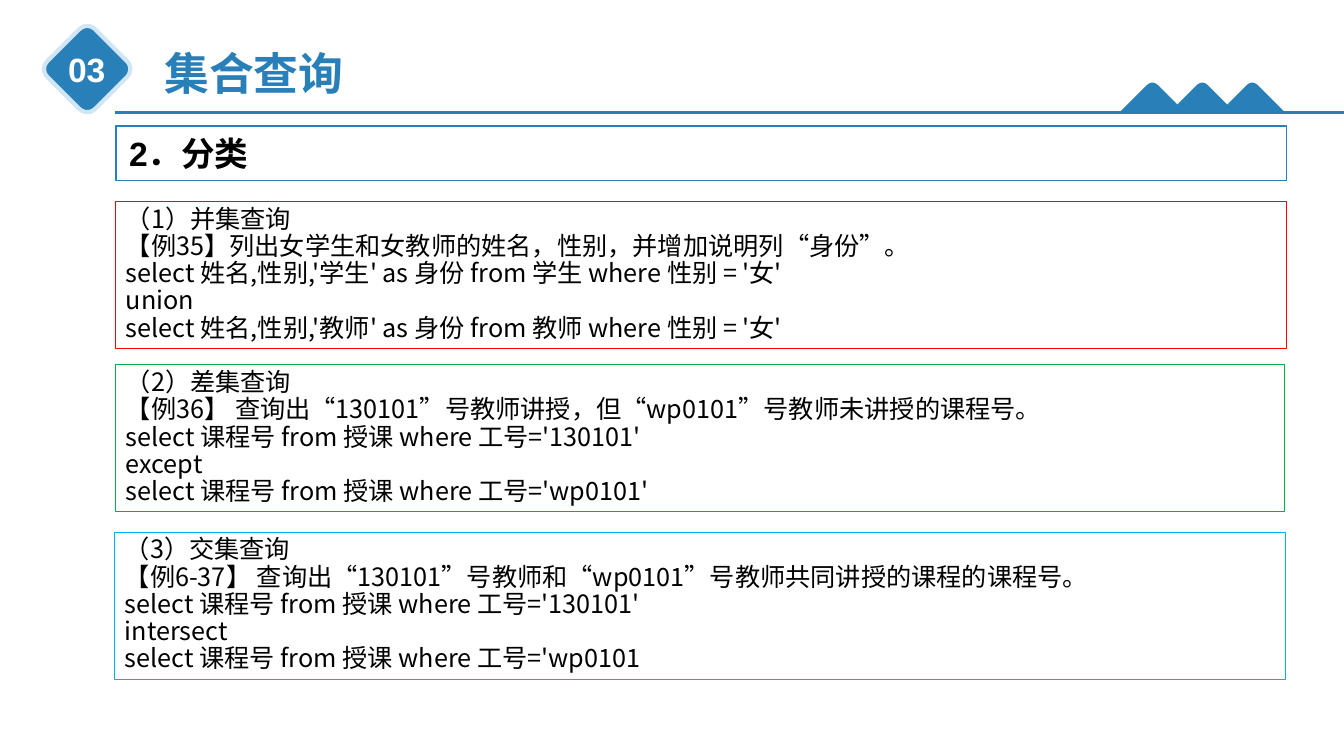
from lxml import etree
from pptx import Presentation
from pptx.dml.color import RGBColor
from pptx.enum.shapes import MSO_CONNECTOR, MSO_SHAPE
from pptx.enum.text import MSO_ANCHOR, MSO_AUTO_SIZE, PP_ALIGN
from pptx.oxml.ns import qn
from pptx.util import Inches, Pt

LEFT, CENTER = PP_ALIGN.LEFT, PP_ALIGN.CENTER
TOP, MIDDLE = MSO_ANCHOR.TOP, MSO_ANCHOR.MIDDLE
GROW = MSO_AUTO_SIZE.SHAPE_TO_FIT_TEXT
RECTANGLE, ROUNDED = MSO_SHAPE.RECTANGLE, MSO_SHAPE.ROUNDED_RECTANGLE
STRAIGHT = MSO_CONNECTOR.STRAIGHT

COLORS = {
    "blue": "2980B9", "pale": "D1E6F5", "white": "FFFFFF", "black": "000000",
    "red": "FF0000", "green": "00B050", "cyan": "00B0F0",
}
HEADING_FONT, BODY_FONT = "Arial", "Noto Sans CJK SC"

QUERIES = [
    ((1.15, 2, 11.61, 1.46), "red", [
        "（1）并集查询",
        "【例35】列出女学生和女教师的姓名，性别，并增加说明列“身份”。",
        "select 姓名,性别,'学生' as 身份 from 学生 where 性别 = '女'",
        "union",
        "select 姓名,性别,'教师' as 身份 from 教师 where 性别 = '女'",
    ]),
    ((1.15, 3.62, 11.59, 1.46), "green", [
        "（2）差集查询",
        "【例36】 查询出“130101”号教师讲授，但“wp0101”号教师未讲授的课程号。",
        "select 课程号 from 授课 where 工号='130101'",
        "except",
        "select 课程号 from 授课 where 工号='wp0101'",
    ]),
    ((1.14, 5.28, 11.61, 1.46), "cyan", [
        "（3）交集查询",
        "【例6-37】 查询出“130101”号教师和“wp0101”号教师共同讲授的课程的课程号。",
        "select 课程号 from 授课 where 工号='130101'",
        "intersect",
        "select 课程号 from 授课 where 工号='wp0101",
    ]),
]


def color(name):
    return RGBColor.from_string(COLORS[name])


class SlideBuilder:
    def __init__(self, presentation):
        layout = presentation.slide_layouts.get_by_name("Title Only")
        self.slide = presentation.slides.add_slide(layout)

    def set_text(self, shape, lines, size, color_name="black", font=HEADING_FONT, bold=True,
                 align=LEFT, anchor=TOP, wrap=True, spacing=1.0):
        frame = shape.text_frame
        frame.text = "\n".join(lines)
        frame.word_wrap = wrap
        frame.vertical_anchor = anchor
        frame.auto_size = GROW
        for paragraph in frame.paragraphs:
            paragraph.alignment = align
            paragraph.line_spacing = spacing
            paragraph.font.size = Pt(size)
            paragraph.font.bold = bold
            paragraph.font.color.rgb = color(color_name)
            paragraph.font.name = font
            properties = paragraph._p.pPr.find(qn("a:defRPr"))
            etree.SubElement(properties, qn("a:ea"), typeface=BODY_FONT)

    def title(self, box, text):
        title = self.slide.shapes.title
        title.left, title.top, title.width, title.height = map(Inches, box)
        self.set_text(title, [text], 32, "blue", wrap=False)

    def label(self, box, text):
        label = self.slide.shapes.add_textbox(*map(Inches, box))
        self.set_text(label, [text], 24, "white", align=CENTER, wrap=False)

    def box(self, box, line, width, fill=None, kind=RECTANGLE):
        shape = self.slide.shapes.add_shape(kind, *map(Inches, box))
        shape.shadow.inherit = False
        if fill:
            shape.fill.solid()
            shape.fill.fore_color.rgb = color(fill)
        else:
            shape.fill.background()
        shape.line.color.rgb = color(line)
        shape.line.width = Pt(width)
        return shape

    def rule(self, left, right, y):
        line = self.slide.shapes.add_connector(
            STRAIGHT, Inches(left), Inches(y), Inches(right), Inches(y))
        line.line.color.rgb = color("blue")
        line.line.width = Pt(2.25)
        etree.SubElement(line._element.spPr, qn("a:effectLst"))

    def peak(self, center, top=0.82, base=1.12):
        """Draw a triangle whose tip is rounded by a short parabola."""
        tip = [(step / 100, top + 0.03 * (step / 6) ** 2) for step in range(-6, 7)]
        outline = [(-0.33, base), *tip, (0.33, base)]
        points = [(Inches(center + x), Inches(y)) for x, y in outline]
        builder = self.slide.shapes.build_freeform(*points[0])
        builder.add_line_segments(points[1:], close=True)
        shape = builder.convert_to_shape()
        shape.shadow.inherit = False
        shape.fill.solid()
        shape.fill.fore_color.rgb = color("blue")
        shape.line.fill.background()


def main():
    presentation = Presentation()
    presentation.slide_width = Inches(13.33)
    presentation.slide_height = Inches(7.5)
    builder = SlideBuilder(presentation)

    badge = builder.box((0.53, 0.35, 0.67, 0.67), "pale", 3, "blue", ROUNDED)
    badge.rotation = 45
    builder.rule(1.14, 13.33, 1.12)
    builder.title((1.53, 0.4, 2, 0.64), "集合查询")
    builder.label((0.57, 0.44, 0.58, 0.5), "03")
    for index in range(3):
        builder.peak(11.43 + 0.495 * index)

    heading = builder.box((1.15, 1.25, 11.61, 0.54), "blue", 1, "white")
    builder.set_text(heading, ["2．分类"], 24, anchor=MIDDLE)
    frame = heading.text_frame
    frame.margin_left = frame.margin_right = Inches(0.13)
    frame.margin_top = frame.margin_bottom = Inches(0.07)

    for box, line, lines in QUERIES:
        query = builder.box(box, line, 0.75)
        builder.set_text(query, lines, 18, font=BODY_FONT, bold=False, spacing=0.9)

    presentation.save("out.pptx")


if __name__ == "__main__":
    main()
